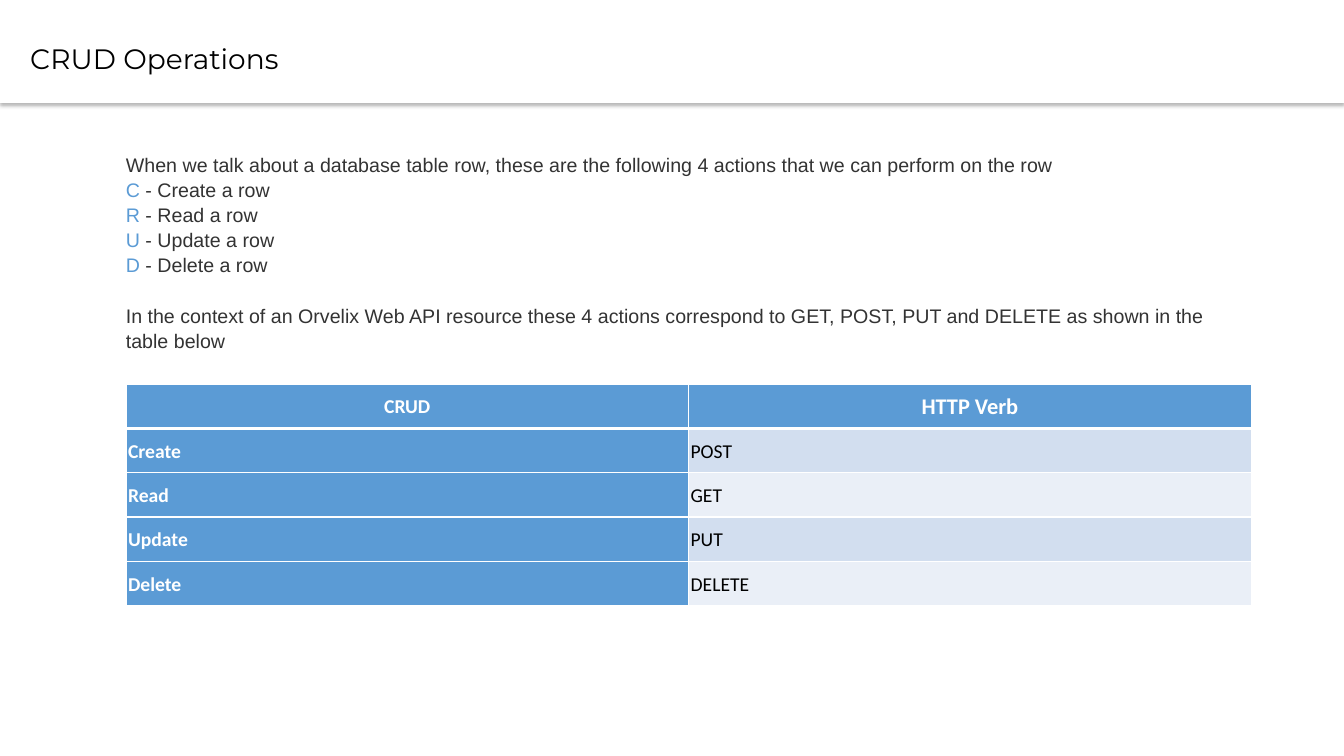
from lxml import etree
from pptx import Presentation
from pptx.dml.color import RGBColor
from pptx.enum.text import MSO_ANCHOR, PP_ALIGN
from pptx.oxml import parse_xml
from pptx.oxml.ns import qn
from pptx.util import Inches, Pt

# Content
TITLE = "CRUD Operations"
INTRO = ("When we talk about a database table row, these are the following "
         "4 actions that we can perform on the row")
ACTIONS = [("C", "Create"), ("R", "Read"), ("U", "Update"), ("D", "Delete")]
CONTEXT = ("In the context of an Orvelix Web API resource these 4 actions correspond to "
           "GET, POST, PUT and DELETE as shown in the table below")
HEADER = ("CRUD", "HTTP Verb")
VERBS = ["POST", "GET", "PUT", "DELETE"]
COLORS = {"accent": "5B9BD5", "text": "333333", "white": "FFFFFF", "black": "000000",
          "odd": "D2DEEF", "even": "EAEFF7"}
LINE_SPACING = 1.07
TABLE_WIDTH, ROW_HEIGHT = 11.16, 0.44
HEADER_SIZES = (14, 16)


def rgb(name):
    return RGBColor.from_string(COLORS[name])


def set_font(font, name, size, color, bold=False):
    font.name, font.size, font.bold = name, Pt(size), bold
    font.color.rgb = rgb(color)


def set_borders(cell, bottom_width):
    properties = cell._tc.get_or_add_tcPr()
    widths = {"lnL": 1, "lnR": 1, "lnT": 1, "lnB": bottom_width}
    for position, (side, width) in enumerate(widths.items()):
        line = etree.Element(qn(f"a:{side}"), w=str(Pt(width)))
        fill = etree.SubElement(line, qn("a:solidFill"))
        etree.SubElement(fill, qn("a:srgbClr"), val=COLORS["white"])
        properties.insert(position, line)


prs = Presentation()
prs.slide_width, prs.slide_height = Inches(13.33), Inches(7.5)
slide = prs.slides.add_slide(prs.slide_layouts[5])

# Title band with a soft shadow below
title = slide.shapes.title
title.left, title.top = Inches(0), Inches(0)
title.width, title.height = prs.slide_width, Inches(1.02)
title.fill.solid()
title.fill.fore_color.rgb = rgb("white")
title._element.spPr.append(parse_xml(
    '<a:effectLst xmlns:a="http://schemas.openxmlformats.org/drawingml/2006/main">'
    f'<a:outerShdw blurRad="{Pt(3.1)}" dist="{Pt(2)}" dir="5400000" algn="t" rotWithShape="0">'
    f'<a:srgbClr val="{COLORS["black"]}"><a:alpha val="30000"/></a:srgbClr>'
    '</a:outerShdw></a:effectLst>'))
title_frame = title.text_frame
title_frame.text = TITLE
title_frame.vertical_anchor = MSO_ANCHOR.MIDDLE
title_frame.margin_left, title_frame.margin_right = Inches(0.3), Inches(0.07)
title_frame.margin_top, title_frame.margin_bottom = Inches(0.21), Inches(0.04)
heading = title_frame.paragraphs[0]
heading.alignment = PP_ALIGN.LEFT
heading.line_spacing = 0.9
set_font(heading.font, "Montserrat", 20, "black")

# Explanation
explanation = slide.shapes.add_textbox(
    Inches(1.15), Inches(1.45), Inches(11.17), Inches(2.11)).text_frame
explanation.word_wrap = True
explanation.text = INTRO
for letter, action in ACTIONS:
    paragraph = explanation.add_paragraph()
    initial = paragraph.add_run()
    initial.text = letter
    initial.font.color.rgb = rgb("accent")
    paragraph.add_run().text = f" - {action} a row"
context = explanation.add_paragraph()
context.text = CONTEXT
context.space_before = Pt(18)
for paragraph in explanation.paragraphs:
    paragraph.line_spacing = LINE_SPACING
    set_font(paragraph.font, "Arial", 14, "text")

# Table of verbs
rows = [HEADER] + [(action, verb) for (_, action), verb in zip(ACTIONS, VERBS)]
table = slide.shapes.add_table(
    len(rows), len(HEADER), Inches(1.25), Inches(3.81),
    Inches(TABLE_WIDTH), Inches(ROW_HEIGHT * len(rows))).table
for r, row in enumerate(rows):
    for c, text in enumerate(row):
        cell = table.cell(r, c)
        cell.text = text
        cell.vertical_anchor = MSO_ANCHOR.MIDDLE
        cell.margin_left = cell.margin_right = Inches(0.02)
        cell.margin_top = cell.margin_bottom = Inches(0.02)
        is_header = r == 0
        is_label = is_header or c == 0
        band = "odd" if r % 2 else "even"
        cell.fill.solid()
        cell.fill.fore_color.rgb = rgb("accent" if is_label else band)
        set_borders(cell, 3 if is_header else 1)
        paragraph = cell.text_frame.paragraphs[0]
        paragraph.alignment = PP_ALIGN.CENTER if is_header else PP_ALIGN.LEFT
        paragraph.line_spacing = LINE_SPACING
        set_font(paragraph.font, "Calibri", HEADER_SIZES[c] if is_header else 14,
                 "white" if is_label else "black", is_label)

prs.save("out.pptx")
